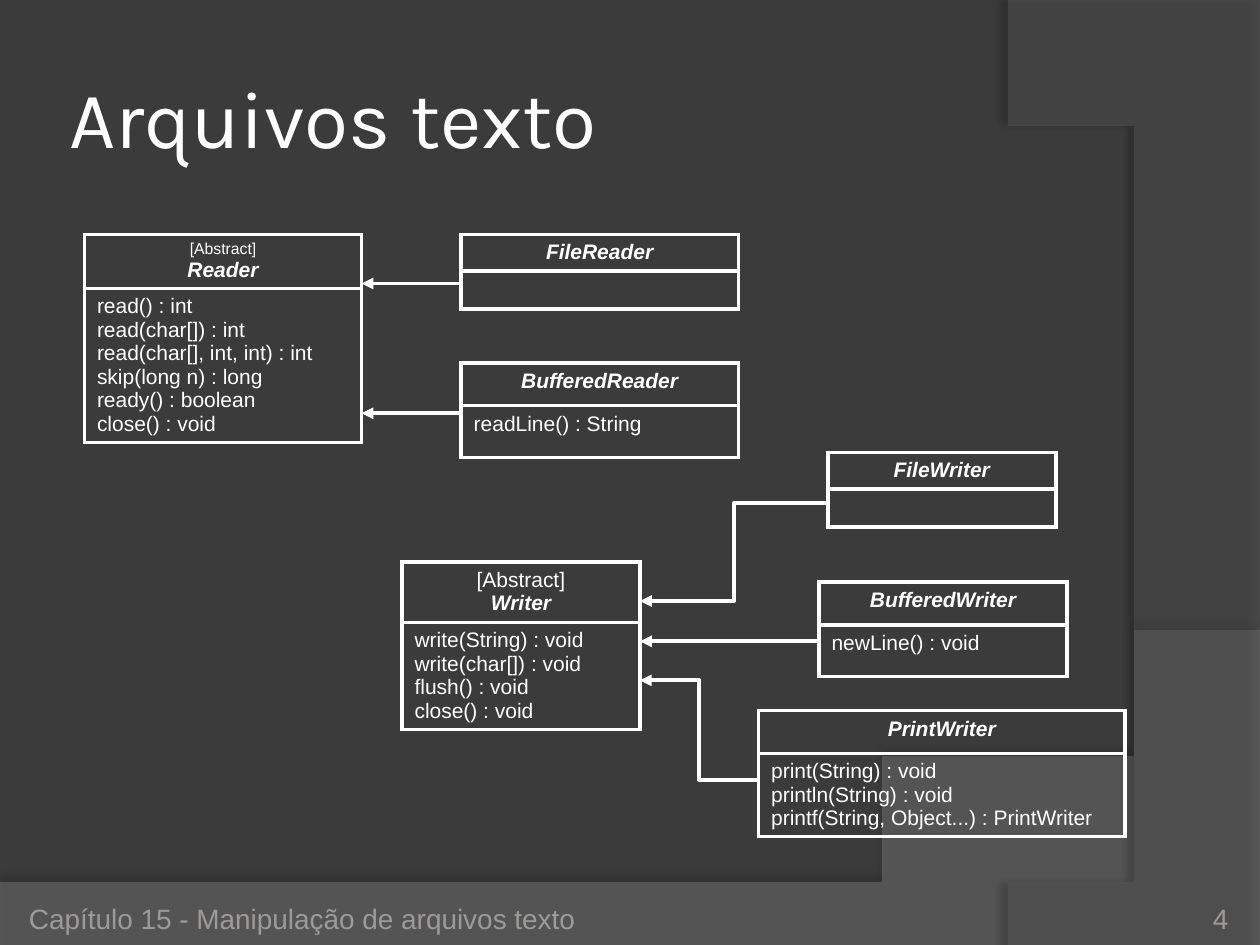
import pptx
import pptx.util
import pptx.dml.color
import pptx.enum.shapes
import pptx.enum.text
import pptx.oxml
import pptx.oxml.ns

Inches = pptx.util.Inches
Pt = pptx.util.Pt
Align = pptx.enum.text.PP_ALIGN
Anchor = pptx.enum.text.MSO_ANCHOR
Connector = pptx.enum.shapes.MSO_CONNECTOR
qn = pptx.oxml.ns.qn
NS = pptx.oxml.ns.nsdecls("a")

BACKGROUND = pptx.dml.color.RGBColor(0x3B, 0x3B, 0x3B)
WAVE = pptx.dml.color.RGBColor(0x7F, 0x7F, 0x7F)
SIDE = pptx.dml.color.RGBColor(0x5E, 0x5E, 0x5E)
WHITE = pptx.dml.color.RGBColor(0xFF, 0xFF, 0xFF)
FOOTER = pptx.dml.color.RGBColor(0x9D, 0x9B, 0x9A)


def add_run(paragraph, text, size, color=WHITE, font="Arial", emphasis=False):
    run = paragraph.add_run()
    run.text = text
    run.font.name = font
    run.font.size = Pt(size)
    run.font.color.rgb = color
    run.font.bold = run.font.italic = emphasis


def bezier(p0, p1, p2, p3, steps=60):
    """Points along a cubic curve, both ends included."""
    points = []
    for i in range(steps + 1):
        t = i / steps
        weights = ((1 - t) ** 3, 3 * t * (1 - t) ** 2, 3 * t * t * (1 - t), t ** 3)
        points.append(tuple(
            sum(w * p[axis] for w, p in zip(weights, (p0, p1, p2, p3)))
            for axis in (0, 1)))
    return points


prs = pptx.Presentation()
prs.slide_width, prs.slide_height = Inches(10), Inches(7.5)
slide = prs.slides.add_slide(prs.slide_layouts[5])
slide.background.fill.solid()
slide.background.fill.fore_color.rgb = BACKGROUND
shapes = slide.shapes

# Backdrop: outline, colour, opacity %, shadow opacity %, blur, distance, direction
wave = [(0, 7.05), (0, 7.51), (10, 7.51)]
wave += bezier((10, 5.2), (5.59, 7.29), (3.91, 7.19), (0, 7.05))
side = [(10, 0.02), (10, 7.5)]
side += bezier((8.21, 7.5), (9.35, 6.19), (10.18, 3), (8, 0))
backdrop = [
    (wave, WAVE, 45, 35, 4, 3.5, 270),
    (side, SIDE, 40, 45, 4, 4, 180),
]
for depth, (outline, color, opacity, shade, blur, distance, angle) in enumerate(backdrop):
    builder = shapes.build_freeform(*outline[0], scale=Inches(1))
    builder.add_line_segments(outline[1:], close=True)
    curve = builder.convert_to_shape()
    curve.line.fill.background()
    curve.fill.solid()
    curve.fill.fore_color.rgb = color
    srgb = curve._element.spPr.find(".//" + qn("a:srgbClr"))
    srgb.append(pptx.oxml.parse_xml(f'<a:alpha {NS} val="{opacity * 1000}"/>'))
    curve._element.spPr.append(pptx.oxml.parse_xml(
        f'<a:effectLst {NS}><a:outerShdw blurRad="{Pt(blur)}" dist="{Pt(distance)}" '
        f'dir="{angle * 60000}" algn="ctr" rotWithShape="0"><a:srgbClr val="000000">'
        f'<a:alpha val="{shade * 1000}"/></a:srgbClr></a:outerShdw></a:effectLst>'))
    shapes._spTree.insert(2 + depth, curve._element)

title = shapes.title
title.left, title.top = Inches(0.5), Inches(0.3)
title.width, title.height = Inches(8.17), Inches(1.25)
frame = title.text_frame
frame.vertical_anchor = Anchor.MIDDLE
frame.margin_left = frame.margin_right = Inches(0.05)
frame.margin_top = frame.margin_bottom = Inches(0.05)
frame.paragraphs[0].alignment = Align.LEFT
add_run(frame.paragraphs[0], "Arquivos texto", 46, font="Karla")

# Classes: name, size of the [Abstract] tag, methods, left, top, width, row heights
classes = [
    ("Reader", 9, ["read() : int", "read(char[]) : int", "read(char[], int, int) : int",
                   "skip(long n) : long", "ready() : boolean", "close() : void"],
     0.67, 1.86, 2.2, (0.43, 1.22)),
    ("BufferedReader", None, ["readLine() : String"], 3.66, 2.88, 2.2, (0.34, 0.41)),
    ("PrintWriter", None, ["print(String) : void", "println(String) : void",
                           "printf(String, Object...) : PrintWriter"],
     6.02, 5.64, 2.91, (0.34, 0.66)),
    ("BufferedWriter", None, ["newLine() : void"], 6.5, 4.62, 1.97, (0.34, 0.41)),
    ("FileWriter", None, [], 6.57, 3.59, 1.81, (0.29, 0.29)),
    ("FileReader", None, [], 3.66, 1.86, 2.2, (0.29, 0.29)),
    ("Writer", 12, ["write(String) : void", "write(char[]) : void",
                    "flush() : void", "close() : void"],
     3.19, 4.46, 1.89, (0.48, 0.85)),
]
for name, tag_size, methods, left, top, width, heights in classes:
    table = shapes.add_table(2, 1, Inches(left), Inches(top), Inches(width),
                             Inches(sum(heights))).table
    table.first_row = table.horz_banding = False
    header = [("[Abstract]", tag_size, False)] if tag_size else []
    header.append((name, 12, True))
    body = [(method, 12, False) for method in methods]
    for row, (lines, height) in enumerate(zip((header, body), heights)):
        table.rows[row].height = Inches(height)
        cell = table.cell(row, 0)
        for i, (text, size, emphasis) in enumerate(lines):
            frame = cell.text_frame
            paragraph = frame.add_paragraph() if i else frame.paragraphs[0]
            paragraph.alignment = Align.LEFT if row else Align.CENTER
            add_run(paragraph, text, size, emphasis=emphasis)
        if not lines:
            cell.text_frame.paragraphs[0]._p.append(
                pptx.oxml.parse_xml(f'<a:endParaRPr {NS} sz="1200"/>'))
        properties = cell._tc.get_or_add_tcPr()
        for edge in ("lnL", "lnR", "lnT", "lnB"):
            properties.append(pptx.oxml.parse_xml(
                f'<a:{edge} {NS} w="{Pt(2.25)}"><a:solidFill>'
                f'<a:srgbClr val="{WHITE}"/></a:solidFill></a:{edge}>'))
        cell.fill.background()

# Inheritance arrows, from subclass to superclass
arrows = [
    (Connector.STRAIGHT, 3.66, 2.25, 2.87, 2.25),
    (Connector.STRAIGHT, 3.66, 3.28, 2.87, 3.28),
    (Connector.STRAIGHT, 6.5, 5.09, 5.08, 5.09),
    (Connector.ELBOW, 6.57, 3.99, 5.08, 4.77),
    (Connector.ELBOW, 6.02, 6.19, 5.08, 5.4),
]
for kind, *ends in arrows:
    arrow = shapes.add_connector(kind, *map(Inches, ends))
    arrow.line.color.rgb = WHITE
    arrow.line.width = Pt(2.25)
    arrow.line._get_or_add_ln().append(
        pptx.oxml.parse_xml(f'<a:tailEnd {NS} type="triangle"/>'))
    arrow._element.spPr.append(pptx.oxml.parse_xml(f"<a:effectLst {NS}/>"))

footers = [
    ("Capítulo 15 - Manipulação de arquivos texto", 0.23, 4.84, Align.LEFT),
    ("4", 8.92, 0.83, Align.RIGHT),
]
for text, left, width, alignment in footers:
    frame = shapes.add_textbox(Inches(left), Inches(7.02), Inches(width),
                               Inches(0.4)).text_frame
    frame.word_wrap = True
    frame.vertical_anchor = Anchor.BOTTOM
    frame.margin_left = frame.margin_right = frame.margin_top = frame.margin_bottom = 0
    frame.paragraphs[0].alignment = alignment
    add_run(frame.paragraphs[0], text, 16, FOOTER)

prs.save("out.pptx")
